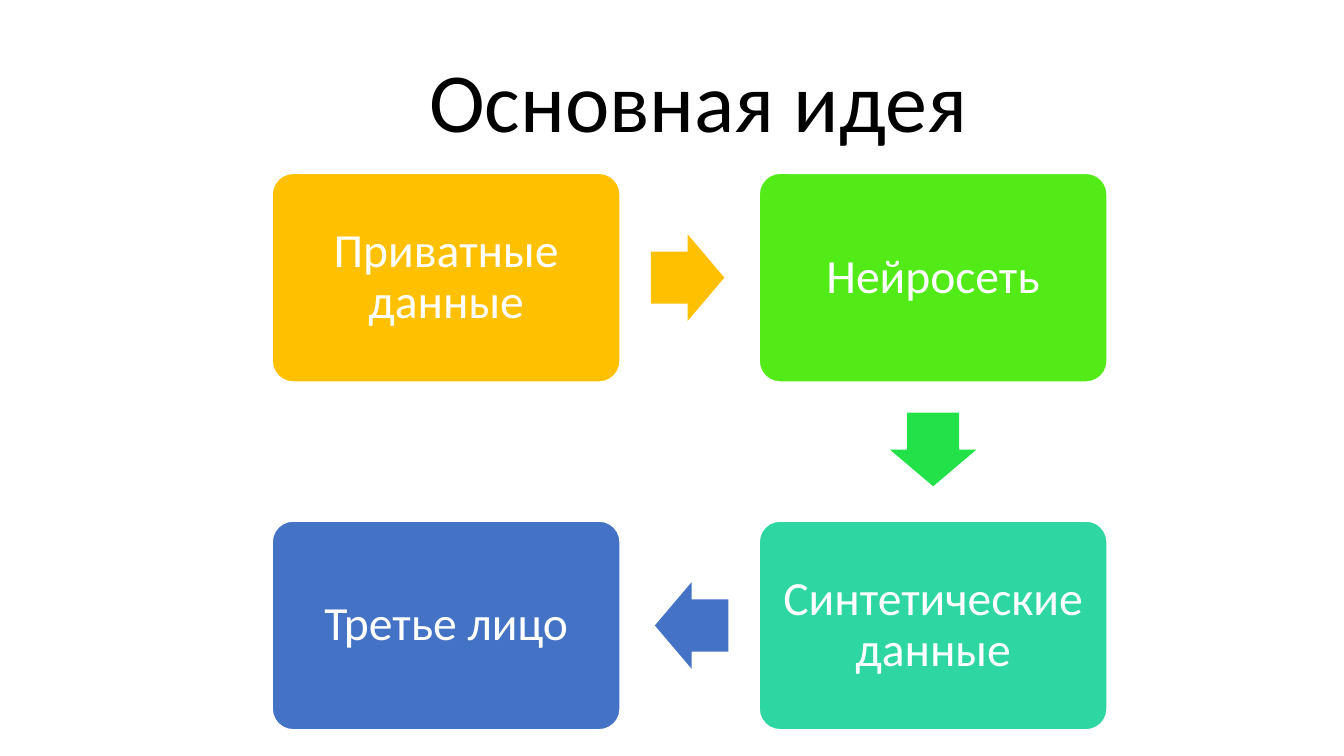
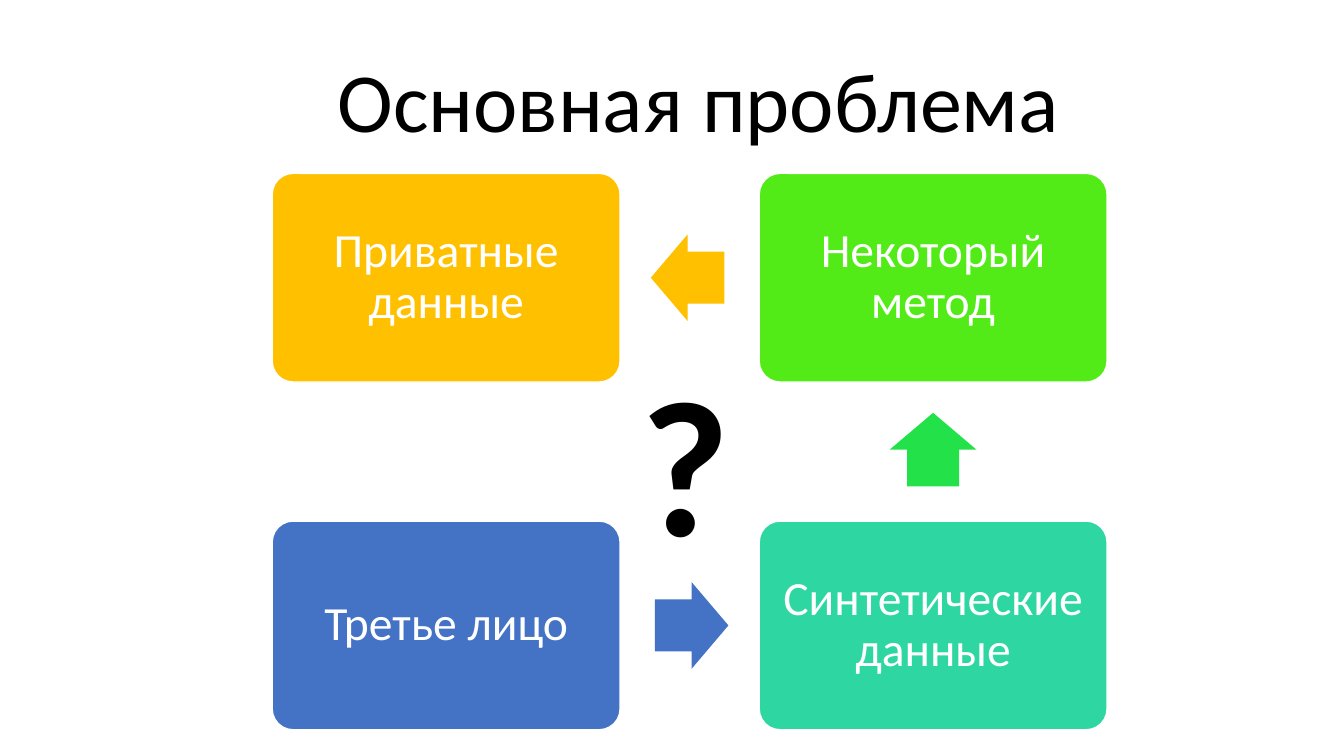
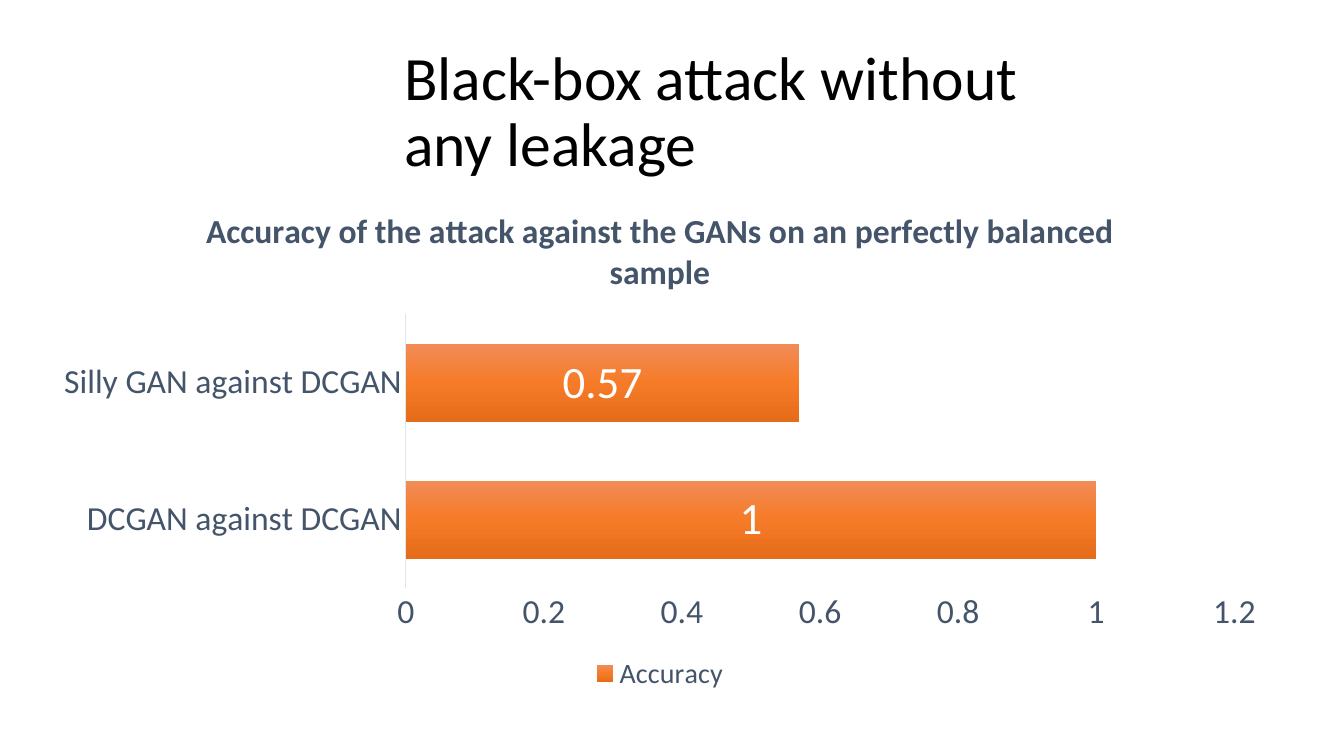
from copy import deepcopy
from dataclasses import dataclass
from math import atan2, degrees, hypot

from pptx import Presentation
from pptx.chart.data import CategoryChartData as Data
from pptx.dml.color import RGBColor as Rgb
from pptx.enum.chart import XL_CHART_TYPE as Kind
from pptx.enum.chart import XL_LABEL_POSITION as Spot
from pptx.enum.chart import XL_LEGEND_POSITION as Side
from pptx.enum.chart import XL_TICK_MARK as Tick
from pptx.enum.shapes import MSO_SHAPE as Form
from pptx.enum.text import MSO_ANCHOR as Anchor
from pptx.enum.text import PP_ALIGN as Align
from pptx.util import Inches, Pt


@dataclass(frozen=True)
class Theme:
    font: str = "Calibri"
    ink: str = "000000"
    paper: str = "FFFFFF"
    slate: str = "44546A"
    rule: str = "E0E5EB"
    boxes: tuple = ("FFC000", "53EB17", "2ED7A1", "4472C4")
    arrows: tuple = ("FFC000", "23E148", "4472C4")
    bar: tuple = ((0, "F18C57"), (0.5, "F67B28"), (1, "E56C19"))
    title: int = 60
    head: int = 44
    label: int = 34
    mark: int = 138
    axis: int = 24
    legend: int = 20
    value: int = 32


theme = Theme()


def style(font, size, color, bold=False):
    font.name = theme.font
    font.size = Pt(size)
    font.bold = bold
    font.color.rgb = Rgb.from_string(color)


def write(frame, text, size, color, align=Align.CENTER, anchor=Anchor.MIDDLE,
          bold=False, lead=0.9):
    frame.word_wrap = True
    frame.vertical_anchor = anchor
    frame.text = text
    for para in frame.paragraphs:
        para.alignment = align
        para.line_spacing = lead
        for run in para.runs:
            style(run.font, size, color, bold)


def add_text(slide, box, text, size, **look):
    area = slide.shapes.add_textbox(*map(Inches, box))
    write(area.text_frame, text, size, theme.ink, **look)


def add_form(slide, form, box, color, *adjust):
    shape = slide.shapes.add_shape(form, *map(Inches, box))
    shape.shadow.inherit = False
    shape.fill.solid()
    shape.fill.fore_color.rgb = Rgb.from_string(color)
    shape.line.fill.background()
    for index, value in enumerate(adjust):
        shape.adjustments[index] = value
    return shape


def add_card(slide, box, text, color):
    card = add_form(slide, Form.ROUNDED_RECTANGLE, box, color, 0.1)
    card.line.color.rgb = Rgb.from_string(theme.paper)
    card.line.width = Pt(1)
    frame = card.text_frame
    frame.margin_left = frame.margin_right = Inches(0.14)
    frame.margin_top = frame.margin_bottom = Inches(0.14)
    write(frame, text, theme.label, theme.paper)


def add_arrow(slide, start, end, color, back):
    width, height, pull = 0.73, 0.86, 0.02
    run, rise = end[0] - start[0], end[1] - start[1]
    span = hypot(run, rise)
    left = (start[0] + end[0] - width) / 2 - pull * run / span
    top = (start[1] + end[1] - height) / 2 - pull * rise / span
    arrow = add_form(slide, Form.RIGHT_ARROW, (left, top, width, height),
                     color, 0.6, 0.5)
    arrow.rotation = (degrees(atan2(rise, run)) + 180 * back) % 360


def add_cycle(slide, box, labels, back=False):
    left, top, width, height = box
    wide, high = 3.45, 2.07
    cells = ((0, 0), (1, 0), (1, 1), (0, 1))
    places = [(left + col * (width - wide), top + row * (height - high))
              for col, row in cells]
    for (x, y), text, color in zip(places, labels, theme.boxes):
        add_card(slide, (x, y, wide, high), text, color)
    mids = [(x + wide / 2, y + high / 2) for x, y in places]
    for start, end, color in zip(mids, mids[1:], theme.arrows):
        add_arrow(slide, start, end, color, back)


def add_mark(slide, box):
    left, top = box[:2]
    add_text(slide, (left + 3.55, top + 1.64, 0.84, 2.42), "?", theme.mark,
             align=Align.LEFT, anchor=Anchor.TOP, bold=True, lead=1)


def style_axis(axis):
    axis.has_major_gridlines = False
    axis.major_tick_mark = axis.minor_tick_mark = Tick.NONE
    style(axis.tick_labels.font, theme.axis, theme.slate)


def shade(chart, fill):
    fill.gradient()
    fill.gradient_angle = 270
    stops = chart.element.xpath(".//c:ser/c:spPr/a:gradFill/a:gsLst")[0]
    stops.insert(1, deepcopy(stops[0]))
    for stop, (place, color) in zip(fill.gradient_stops, theme.bar):
        stop.position = place
        stop.color.rgb = Rgb.from_string(color)


def add_bars(slide, box, title, name, rows):
    data = Data()
    data.categories = [label for label, value in rows]
    data.add_series(name, [value for label, value in rows])
    chart = slide.shapes.add_chart(Kind.BAR_STACKED, *map(Inches, box), data).chart
    style(chart.font, 10, theme.ink)

    chart.has_title = True
    chart.chart_title.include_in_layout = False
    frame = chart.chart_title.text_frame
    frame.text = title
    style(frame.paragraphs[0].runs[0].font, theme.axis, theme.slate, True)

    chart.has_legend = True
    chart.legend.position = Side.BOTTOM
    chart.legend.include_in_layout = False
    style(chart.legend.font, theme.legend, theme.slate)

    names, scale = chart.category_axis, chart.value_axis
    style_axis(names)
    names.format.line.color.rgb = Rgb.from_string(theme.rule)
    names.format.line.width = Pt(0.75)
    style_axis(scale)
    scale.format.line.fill.background()
    scale.minimum_scale, scale.maximum_scale, scale.major_unit = 0, 1.2, 0.2

    plot = chart.plots[0]
    plot.gap_width, plot.overlap = 75, 100
    plot.vary_by_categories = False
    shade(chart, plot.series[0].format.fill)
    plot.has_data_labels = True
    labels = plot.data_labels
    labels.show_value = True
    labels.position = Spot.CENTER
    style(labels.font, theme.value, theme.paper)


def main():
    deck = Presentation()
    deck.slide_width, deck.slide_height = Inches(13.33), Inches(7.5)
    blank = deck.slide_layouts[6]
    board = (2.7, 1.72, 8.28, 5.52)
    flows = (("Основная идея", "Нейросеть", False),
             ("Основная проблема", "Некоторый метод", True))
    for title, method, back in flows:
        slide = deck.slides.add_slide(blank)
        add_text(slide, (2.4, 0.09, 9.05, 1.45), title, theme.title,
                 anchor=Anchor.BOTTOM)
        labels = ("Приватные данные", method, "Синтетические данные", "Третье лицо")
        add_cycle(slide, board, labels, back)
        if back:
            add_mark(slide, board)

    slide = deck.slides.add_slide(blank)
    add_bars(slide, (0.39, 1.85, 12.31, 5.06),
             "Accuracy of the attack against the GANs on an perfectly balanced sample",
             "Accuracy",
             (("DCGAN against DCGAN", 1), ("Silly GAN against DCGAN", 0.57)))
    add_text(slide, (3.91, 0.4, 8.51, 1.45),
             "Black-box attack without\vany leakage", theme.head, align=Align.LEFT)
    deck.save("out.pptx")


if __name__ == "__main__":
    main()
